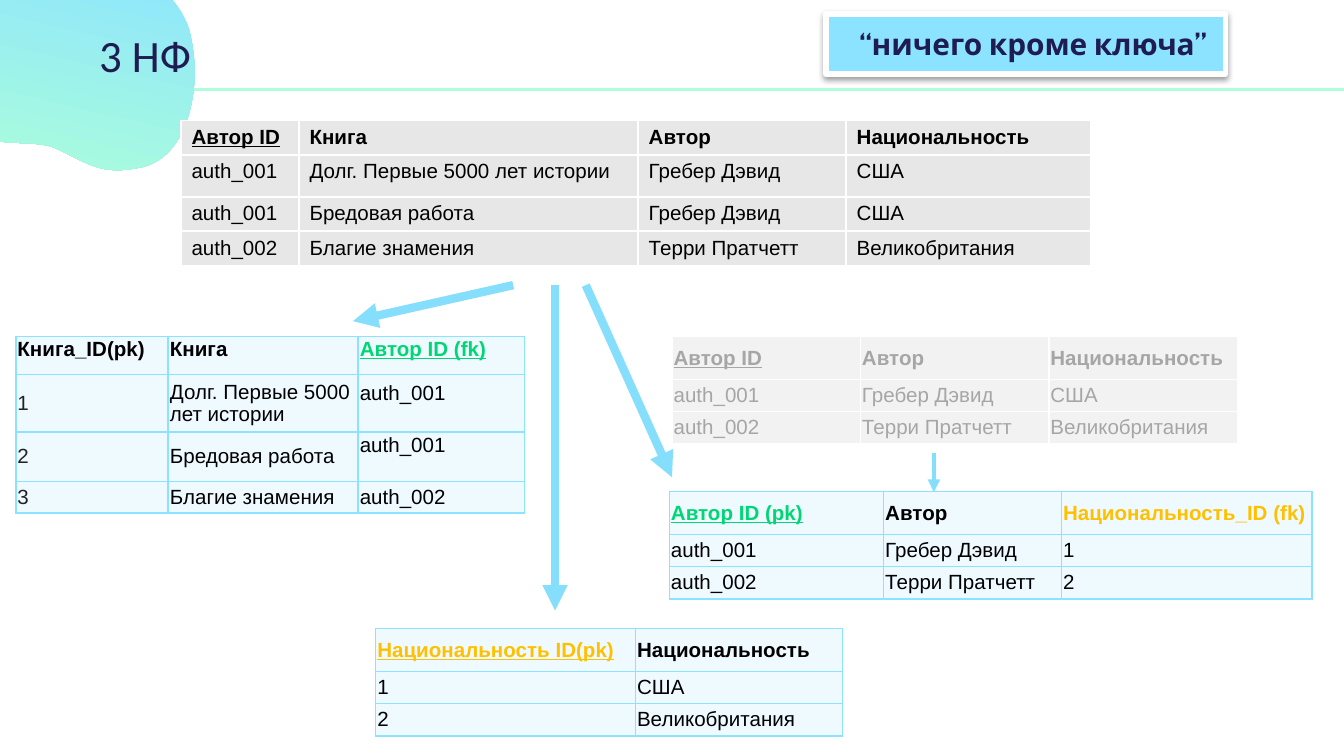
from dataclasses import dataclass, field
from typing import NamedTuple

from lxml.etree import SubElement
from pptx import Presentation
from pptx.dml.color import RGBColor
from pptx.enum.shapes import MSO_CONNECTOR as Connector, MSO_SHAPE as Shape
from pptx.enum.text import MSO_ANCHOR as Anchor, PP_ALIGN as Align
from pptx.oxml.ns import qn
from pptx.util import Cm, Pt

COLORS = {
    "navy": "1F1C51", "sky": "8BE3FF", "mint": "ACFFD9", "arrow": "85DFFC",
    "white": "FFFFFF", "black": "000000", "number": "222222",
    "green": "00D674", "amber": "FFC000", "faded": "A6A6A6",
    "gray_fill": "E7E7E7", "faded_fill": "F2F2F2", "blue_fill": "EEFAFF",
}


class Column(NamedTuple):
    title: str
    width: float
    title_color: str = ""
    key: bool = False
    body_color: str = ""


@dataclass(frozen=True)
class TableStyle:
    fill: str
    border: str
    text: str = "black"
    inset_x: float = 0.03
    inset_y: float = 0.02
    anchor: Anchor = Anchor.MIDDLE


@dataclass(frozen=True)
class TableSpec:
    """A table in cm; raised maps top-anchored cells to their top inset."""
    left: float
    top: float
    style: TableStyle
    columns: list[Column]
    rows: list[tuple[str, ...]]
    heights: tuple[float, ...] = (0.81, 0.61, 0.61)
    raised: dict[tuple[int, int], float] = field(default_factory=dict)


class Line(NamedTuple):
    x1: float
    y1: float
    x2: float
    y2: float
    width: float
    color: str = "arrow"
    arrow: bool = True


GRAY = TableStyle("gray_fill", "white", inset_x=0.2, inset_y=0.1, anchor=Anchor.TOP)
FADED = TableStyle("faded_fill", "white", "faded")
BLUE = TableStyle("blue_fill", "sky")

AUTHORS = [("auth_001", "Гребер Дэвид"), ("auth_002", "Терри Пратчетт")]
COUNTRIES = ["США", "Великобритания"]
BOOKS = ["Долг. Первые 5000 лет истории", "Бредовая работа", "Благие знамения"]
BOOK_AUTHORS = [0, 0, 1]

TABLES = [
    TableSpec(
        3.42, 2.28, GRAY,
        [Column("Автор ID", 2.23, key=True), Column("Книга", 6.41),
         Column("Автор", 3.93), Column("Национальность", 4.62)],
        [(AUTHORS[i][0], book, AUTHORS[i][1], COUNTRIES[i])
         for book, i in zip(BOOKS, BOOK_AUTHORS)],
        (0.65, 0.79, 0.65, 0.65)),
    TableSpec(
        12.7, 6.36, FADED,
        [Column("Автор ID", 3.56, key=True), Column("Автор", 3.56),
         Column("Национальность", 3.57)],
        [(*author, country) for author, country in zip(AUTHORS, COUNTRIES)]),
    TableSpec(
        12.65, 9.29, BLUE,
        [Column("Автор ID (pk)", 4.05, "green", True), Column("Автор", 3.36),
         Column("Национальность_ID (fk)", 4.74, "amber")],
        [(*author, str(n)) for n, author in enumerate(AUTHORS, 1)]),
    TableSpec(
        7.1, 11.88, BLUE,
        [Column("Национальность ID(pk)", 4.91, "amber", True),
         Column("Национальность", 3.91)],
        [(str(n), country) for n, country in enumerate(COUNTRIES, 1)]),
    TableSpec(
        0.3, 6.36, BLUE,
        [Column("Книга_ID(pk)", 2.88, body_color="number"), Column("Книга", 3.59),
         Column("Автор ID (fk)", 3.14, "green", True)],
        [(str(n), book, AUTHORS[i][0])
         for n, (book, i) in enumerate(zip(BOOKS, BOOK_AUTHORS), 1)],
        (0.72, 1.09, 0.93, 0.6),
        {(0, 0): 0.02, (0, 1): 0.02, (0, 2): 0.02, (1, 2): 0.13, (2, 2): 0.03}),
]

ARROWS = [
    Line(17.65, 8.56, 17.65, 9.3, 2.25),
    Line(9.7, 5.39, 6.67, 6.07, 4.5),
    Line(10.49, 5.39, 10.49, 11.54, 4.5),
    Line(11.07, 5.39, 12.7, 9.02, 4.5),
]

# Cubic curves in cm: two control points and an end point each.
BLOB_START = (1.98, -0.81)
BLOB_CURVES = [
    ((1.9, -0.84), (1.8, -0.84), (1.73, -0.86)),
    ((1.07, -0.91), (0.64, -0.41), (0.03, -0.33)),
    ((-0.53, -0.28), (-1.04, -0.23), (-1.4, 0.18)),
    ((-2.13, 1.07), (-1.22, 2.39), (-0.15, 2.64)),
    ((-0.1, 2.67), (-0.08, 2.67), (-0.03, 2.67)),
    ((0.25, 2.72), (0.53, 2.69), (0.81, 2.74)),
    ((0.89, 2.74), (0.94, 2.77), (1.02, 2.79)),
    ((1.4, 2.97), (1.65, 3.12), (1.9, 3.18)),
    ((2.11, 3.23), (2.31, 3.23), (2.59, 3.18)),
    ((3.28, 3.07), (3.58, 2.39), (3.66, 1.7)),
    ((3.71, 1.3), (3.66, 0.89), (3.58, 0.58)),
    ((3.4, -0.05), (2.67, -0.66), BLOB_START),
]


def rgb(name: str) -> RGBColor:
    return RGBColor.from_string(COLORS[name])


def set_font(paragraph, name: str, size: float, color: str, bold: bool = False) -> None:
    font = paragraph.font
    font.name, font.size, font.bold = name, Pt(size), bold
    font.color.rgb = rgb(color)


def add_line(shapes, line: Line) -> None:
    connector = shapes.add_connector(
        Connector.STRAIGHT, *(Cm(v) for v in (line.x1, line.y1, line.x2, line.y2)))
    connector.line.color.rgb = rgb(line.color)
    connector.line.width = Pt(line.width)
    if line.arrow:
        SubElement(connector.line._get_or_add_ln(), qn("a:tailEnd"), type="triangle")
    SubElement(connector._element.spPr, qn("a:effectLst"))


def add_blob(shapes) -> None:
    """Draw the corner blob, joining each three straight steps into one curve."""
    builder = shapes.build_freeform(*(Cm(v) for v in BLOB_START))
    builder.add_line_segments(
        [(Cm(x), Cm(y)) for curve in BLOB_CURVES for x, y in curve], close=True)
    blob = builder.convert_to_shape()
    steps = list(blob._element.iter(qn("a:lnTo")))
    for first, second, last in zip(steps[::3], steps[1::3], steps[2::3]):
        outline = first.getparent()
        curve = outline.makeelement(qn("a:cubicBezTo"), {})
        outline.replace(first, curve)
        for step in (first, second, last):
            curve.append(step[0])
        outline.remove(second)
        outline.remove(last)
    blob.shadow.inherit = False
    blob.line.fill.background()
    blob.fill.gradient()
    blob.fill.gradient_angle = 257
    for stop, color in zip(blob.fill.gradient_stops, ("sky", "mint")):
        stop.color.rgb = rgb(color)


def add_title(slide, text: str) -> None:
    title = slide.shapes.title
    title.left, title.top, title.width, title.height = Cm(1.62), Cm(0.28), Cm(16.9), Cm(1.5)
    frame = title.text_frame
    frame.text = text
    frame.vertical_anchor = Anchor.MIDDLE
    frame.paragraphs[0].alignment = Align.LEFT
    set_font(frame.paragraphs[0], "Calibri", 24, "navy")
    slide.shapes._spTree.append(title._element)  # in front of the blob


def add_motto(shapes, text: str) -> None:
    card = shapes.add_shape(Shape.RECTANGLE, Cm(15.61), Cm(0.26), Cm(7.55), Cm(1.14))
    card.fill.solid()
    card.fill.fore_color.rgb = rgb("sky")
    card.line.color.rgb = rgb("white")
    card.line.width = Pt(3)
    card.shadow.inherit = False
    effects = card._element.spPr.find(qn("a:effectLst"))
    shadow = SubElement(effects, qn("a:outerShdw"), blurRad=str(Pt(3.1)),
                        dist=str(Pt(1.6)), dir="5400000", rotWithShape="0")
    color = SubElement(shadow, qn("a:srgbClr"), val=COLORS["black"])
    SubElement(color, qn("a:alpha"), val="38000")
    frame = card.text_frame
    frame.word_wrap = True
    frame.margin_left = frame.margin_right = Cm(0.25)
    frame.vertical_anchor = Anchor.MIDDLE
    frame.text = text
    paragraph = frame.paragraphs[0]
    paragraph.alignment = Align.LEFT
    paragraph._p.get_or_add_pPr().set("marL", str(Cm(0.38)))
    set_font(paragraph, "Cabin", 16, "navy", bold=True)


def style_cell(cell, style: TableStyle) -> None:
    cell.margin_left = cell.margin_right = Cm(style.inset_x)
    cell.margin_top = cell.margin_bottom = Cm(style.inset_y)
    cell.vertical_anchor = style.anchor
    for side in ("lnL", "lnR", "lnT", "lnB"):
        border = SubElement(cell._tc.get_or_add_tcPr(), qn(f"a:{side}"), w=str(Pt(1)))
        fill = SubElement(border, qn("a:solidFill"))
        SubElement(fill, qn("a:srgbClr"), val=COLORS[style.border])
    cell.fill.solid()
    cell.fill.fore_color.rgb = rgb(style.fill)


def add_data_table(shapes, spec: TableSpec) -> None:
    columns, style = spec.columns, spec.style
    table = shapes.add_table(
        len(spec.heights), len(columns), Cm(spec.left), Cm(spec.top),
        Cm(sum(column.width for column in columns)), Cm(sum(spec.heights))).table
    table.horz_banding = table.first_row = False
    for r, height in enumerate(spec.heights):
        table.rows[r].height = Cm(height)
        for c, column in enumerate(columns):
            table.columns[c].width = Cm(column.width)
            cell, header = table.cell(r, c), r == 0
            style_cell(cell, style)
            if (r, c) in spec.raised:
                cell.vertical_anchor = Anchor.TOP
                cell.margin_top = Cm(spec.raised[r, c])
            cell.text = column.title if header else spec.rows[r - 1][c]
            paragraph = cell.text_frame.paragraphs[0]
            color = column.title_color if header else column.body_color
            set_font(paragraph, "Arial", 11, color or style.text, bold=header)
            paragraph.font.underline = header and column.key


def main() -> None:
    presentation = Presentation()
    presentation.slide_width, presentation.slide_height = Cm(25.4), Cm(14.29)
    slide = presentation.slides.add_slide(presentation.slide_layouts[5])
    add_line(slide.shapes, Line(0.69, 1.69, 25.4, 1.69, 1.5, "mint", arrow=False))
    add_blob(slide.shapes)
    add_title(slide, "3 НФ")
    add_motto(slide.shapes, "“ничего кроме ключа”")
    for spec in TABLES:
        add_data_table(slide.shapes, spec)
    for arrow in ARROWS:
        add_line(slide.shapes, arrow)
    presentation.save("out.pptx")


if __name__ == "__main__":
    main()
